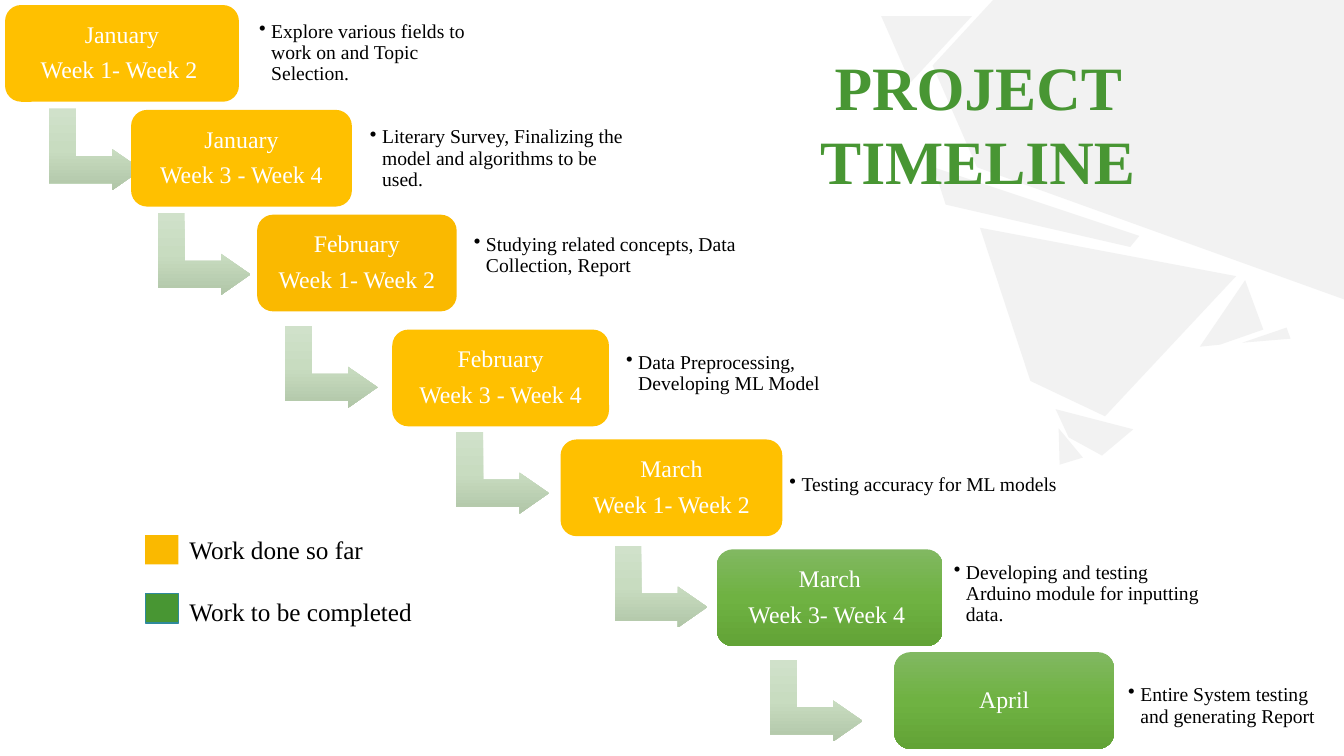
from copy import deepcopy

from pptx import Presentation
from pptx import util as u
from pptx.dml.color import RGBColor
from pptx.enum import shapes, text
from pptx.oxml import ns
from lxml import etree

EMU_PER_PX = 9144
FONT = "Times New Roman"
WHITE = RGBColor(0xFF, 0xFF, 0xFF)
BLACK = RGBColor(0x00, 0x00, 0x00)
BACKDROP_GREY = RGBColor(0xF2, 0xF2, 0xF2)
GOLD = RGBColor(0xFF, 0xC0, 0x00)
AMBER = RGBColor(0xFA, 0xB9, 0x00)
GREEN = RGBColor(0x48, 0x96, 0x33)
TEAL = RGBColor(0x2F, 0x8A, 0x9B)
PENDING = (RGBColor(0x81, 0xB8, 0x61), RGBColor(0x6F, 0xB2, 0x42), RGBColor(0x62, 0xA3, 0x36))
ARROW = (RGBColor(0xD0, 0xE1, 0xCA), RGBColor(0xC8, 0xDC, 0xC0), RGBColor(0xB1, 0xC6, 0xA8))

BOX_HEIGHT = 96
NOTE_HEIGHT = 77
ARROW_SIZE = (81, 92)

SHARDS = [
    [(874, 16), (964, 16), (903, 82)],
    [(985, 0), (1333, 0), (1333, 297), (969, 166), (925, 65)],
    [(972, 226), (1226, 274), (1096, 413), (1022, 378)],
    [(1050, 425), (1074, 454), (1051, 461)],
    [(1047, 406), (1124, 426), (1093, 452), (1060, 434)],
    [(926, 166), (1130, 234), (1121, 245), (938, 203)],
    [(1276, 325), (1280, 336), (1232, 340)],
    [(1235, 278), (1253, 327), (1210, 342), (1190, 344)],
]

STEPS = [
    ("January\nWeek 1- Week 2 ", (5, 5, 232), GOLD,
     "Explore various fields to work on and Topic Selection.", (251, 14, 218)),
    ("January\nWeek 3 - Week 4", (130, 109, 219), GOLD,
     "Literary Survey, Finalizing the model and algorithms to be used.", (361, 119, 277)),
    ("February\nWeek 1- Week 2", (255, 213, 198), AMBER,
     "Studying related concepts, Data Collection, Report", (464, 215, 279)),
    ("February\nWeek 3 - Week 4", (389, 327, 215), GOLD,
     "Data Preprocessing, Developing ML Model", (615, 332, 227)),
    ("March\nWeek 1- Week 2", (556, 436, 220), GOLD,
     "Testing accuracy for ML models", (777, 443, 290)),
    ("March\nWeek 3- Week 4 ", (711, 545, 224), PENDING,
     "Developing and testing Arduino module for inputting data.", (940, 551, 265)),
    ("April", (887, 647, 218), PENDING,
     "Entire System testing and generating Report", (1113, 662, 221)),
]

ARROW_CORNERS = [(54, 102), (162, 206), (288, 318), (458, 423), (615, 536), (769, 649)]

LEGEND = [
    ("Work done so far", 525, 531, AMBER, None),
    ("Work to be completed", 587, 589, GREEN, TEAL),
]


def px(*lengths):
    return [u.Emu(length * EMU_PER_PX) for length in lengths]


def paint(shape, colour, outline=None):
    shape.shadow.inherit = False
    if isinstance(colour, RGBColor):
        shape.fill.solid()
        shape.fill.fore_color.rgb = colour
    else:
        fill_gradient(shape, colour)
    if outline is None:
        shape.line.fill.background()
    else:
        shape.line.color.rgb = outline
        shape.line.width = u.Pt(0.85)


def fill_gradient(shape, colours):
    shape.fill.gradient()
    shape.fill.gradient_angle = 270
    gradient = shape._element.spPr.find(ns.qn("a:gradFill"))
    gradient.set("rotWithShape", "0")
    stop_list = gradient.find(ns.qn("a:gsLst"))
    stop_list.insert(1, deepcopy(stop_list[0]))
    for index, (stop, colour) in enumerate(zip(shape.fill.gradient_stops, colours)):
        stop.position = index / 2
        stop.color.rgb = colour


def write(shape, words, size, colour, align=None, anchor=None, inset=None, bold=False,
          line_spacing=None, space_after=None):
    frame = shape.text_frame
    frame.word_wrap = True
    frame.text = words
    if anchor is not None:
        frame.vertical_anchor = anchor
    if inset is not None:
        frame.margin_left, frame.margin_top, frame.margin_right, frame.margin_bottom = px(*[inset] * 4)
    for paragraph in frame.paragraphs:
        paragraph.alignment = align
        paragraph.line_spacing = line_spacing
        paragraph.space_after = space_after
        paragraph.font.name = FONT
        paragraph.font.size = u.Pt(size)
        paragraph.font.bold = bold
        paragraph.font.color.rgb = colour


def add_bullet(paragraph):
    properties = paragraph._p.get_or_add_pPr()
    indent = px(12)[0]
    properties.set("marL", str(indent))
    properties.set("indent", str(-indent))
    bullet = etree.Element(ns.qn("a:buChar"), char="•")
    properties.find(ns.qn("a:defRPr")).addprevious(bullet)


def add_shard(slide, points):
    builder = slide.shapes.build_freeform(*points[0], scale=EMU_PER_PX)
    builder.add_line_segments(points[1:], close=True)
    paint(builder.convert_to_shape(), BACKDROP_GREY)


def add_title(slide):
    title = slide.shapes.title
    slide.shapes._spTree.append(title._element)
    title.left, title.top, title.width, title.height = px(730, 43, 495, 158)
    title.text_frame.auto_size = text.MSO_AUTO_SIZE.NONE
    write(title, "PROJECT \nTIMELINE ", 44, GREEN, text.PP_ALIGN.CENTER,
          text.MSO_ANCHOR.MIDDLE, bold=True)


def add_arrow(slide, left, top):
    arrow = slide.shapes.add_shape(shapes.MSO_SHAPE.BENT_UP_ARROW, *px(left, top, *ARROW_SIZE))
    arrow.rotation = 90
    for index, value in enumerate((0.33, 0.25, 0.36)):
        arrow.adjustments[index] = value
    paint(arrow, ARROW)


def add_step(slide, period, box_place, colour, task, note_place):
    left, top, width = box_place
    box = slide.shapes.add_shape(shapes.MSO_SHAPE.ROUNDED_RECTANGLE,
                                 *px(left, top, width, BOX_HEIGHT))
    paint(box, colour)
    write(box, period, 17, WHITE, text.PP_ALIGN.CENTER, text.MSO_ANCHOR.MIDDLE, 7,
          line_spacing=0.9, space_after=u.Pt(7))

    left, top, width = note_place
    note = slide.shapes.add_textbox(*px(left, top, width, NOTE_HEIGHT))
    write(note, task, 14, BLACK, text.PP_ALIGN.LEFT, text.MSO_ANCHOR.MIDDLE, 6,
          line_spacing=0.9, space_after=u.Pt(2))
    add_bullet(note.text_frame.paragraphs[0])


def add_legend_entry(slide, label, label_top, swatch_top, colour, outline):
    swatch = slide.shapes.add_shape(shapes.MSO_SHAPE.RECTANGLE, *px(144, swatch_top, 33, 29))
    paint(swatch, colour, outline)
    write(slide.shapes.add_textbox(*px(178, label_top, 293, 40)), label, 18, BLACK)


def main():
    presentation = Presentation()
    presentation.slide_width, presentation.slide_height = px(1333, 750)
    slide = presentation.slides.add_slide(presentation.slide_layouts[5])
    for points in SHARDS:
        add_shard(slide, points)
    for corner in ARROW_CORNERS:
        add_arrow(slide, *corner)
    for step in STEPS:
        add_step(slide, *step)
    add_title(slide)
    for entry in LEGEND:
        add_legend_entry(slide, *entry)
    presentation.save("out.pptx")


if __name__ == "__main__":
    main()
